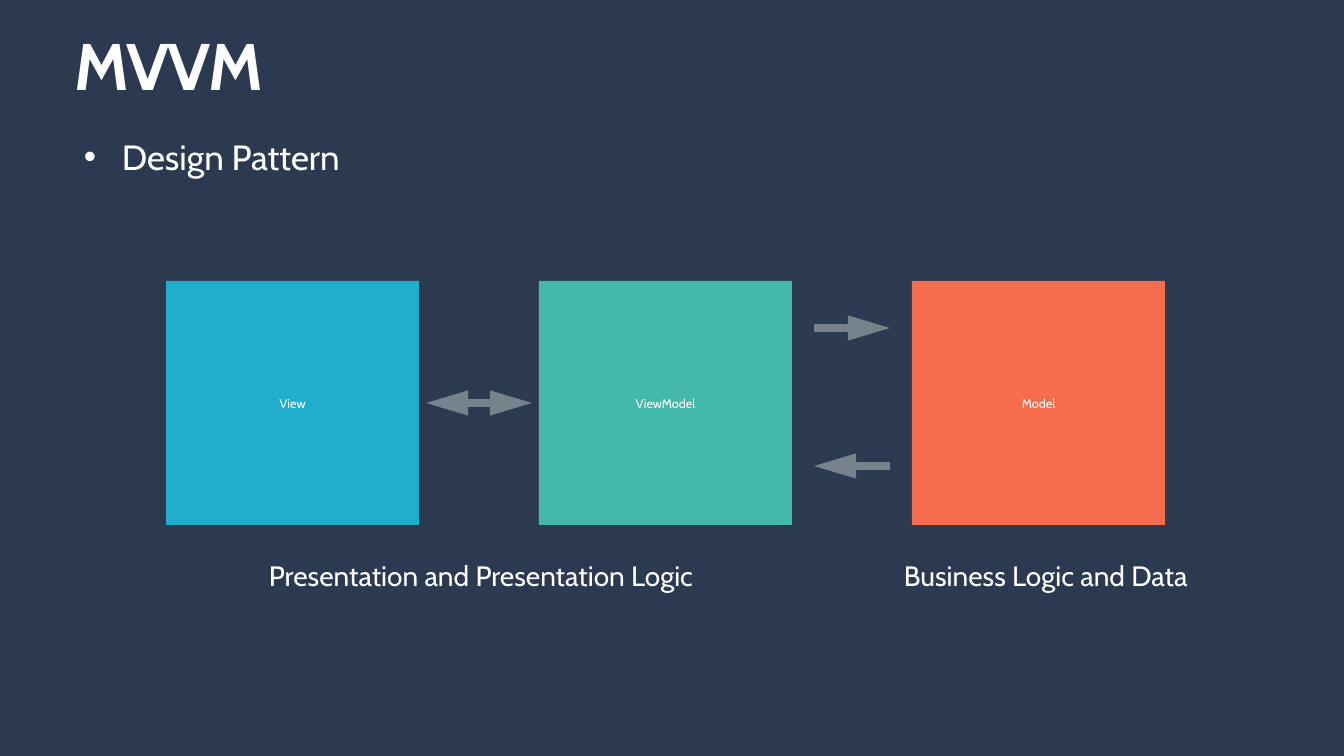
import pptx
import pptx.util
import pptx.dml.color
import pptx.enum.shapes
import pptx.enum.text
import pptx.oxml
import pptx.oxml.ns
import lxml.etree

RGB = pptx.dml.color.RGBColor
NAVY = RGB(0x2B, 0x39, 0x51)
WHITE = RGB(0xFF, 0xFF, 0xFF)
BLUE = RGB(0x1F, 0xAE, 0xCE)
GREEN = RGB(0x44, 0xB8, 0xAA)
ORANGE = RGB(0xF6, 0x6D, 0x4E)
GREY = RGB(0x76, 0x82, 0x8C)

FONT = "Cabin"
SLIDE_W, SLIDE_H = 1344, 756
EMU_PER_PX = 12192000 / SLIDE_W
ANCHOR = pptx.enum.text.MSO_ANCHOR
ALIGN = pptx.enum.text.PP_ALIGN


def px(n):
    return pptx.util.Emu(round(n * EMU_PER_PX))


def add_child(parent, tag, **attrs):
    return lxml.etree.SubElement(parent, pptx.oxml.ns.qn(tag), **attrs)


def add_run(p, text, size, bold=False):
    r = p.add_run()
    r.text = text
    r.font.name = FONT
    r.font.size = pptx.util.Pt(size)
    r.font.bold = bold
    r.font.color.rgb = WHITE
    return r


def title(s, text, x, y, w, h):
    sp = s.shapes.title
    sp.left, sp.top, sp.width, sp.height = px(x), px(y), px(w), px(h)
    tf = sp.text_frame
    tf.margin_left = tf.margin_right = tf.margin_top = tf.margin_bottom = 0
    tf.vertical_anchor = ANCHOR.MIDDLE
    p = tf.paragraphs[0]
    p.alignment = ALIGN.LEFT
    p.line_spacing = 0.9
    r = add_run(p, text, 47, bold=True)
    r.font._element.set("spc", "-100")


def label(s, text, size, x, y, w, h, bullet_indent=0):
    tf = s.shapes.add_textbox(px(x), px(y), px(w), px(h)).text_frame
    tf.word_wrap = False
    tf.auto_size = pptx.enum.text.MSO_AUTO_SIZE.SHAPE_TO_FIT_TEXT
    p = tf.paragraphs[0]
    p.alignment = ALIGN.LEFT
    if bullet_indent:
        pPr = p._p.get_or_add_pPr()
        pPr.set("marL", str(px(bullet_indent)))
        pPr.set("indent", str(-px(bullet_indent)))
        add_child(pPr, "a:buFont", typeface="Arial")
        add_child(pPr, "a:buChar", char="•")
    add_run(p, text, size)


def block(s, text, color, x, y, w, h):
    sp = s.shapes.add_shape(pptx.enum.shapes.MSO_SHAPE.RECTANGLE, px(x), px(y), px(w), px(h))
    sp.shadow.inherit = False
    sp.fill.solid()
    sp.fill.fore_color.rgb = color
    sp.line.fill.background()
    tf = sp.text_frame
    tf.word_wrap = True
    tf.vertical_anchor = ANCHOR.MIDDLE
    p = tf.paragraphs[0]
    p.alignment = ALIGN.CENTER
    add_run(p, text, 9)


def arrow(s, x1, x2, y, both=False):
    c = s.shapes.add_connector(pptx.enum.shapes.MSO_CONNECTOR.STRAIGHT, px(x1), px(y), px(x2), px(y))
    c.line.color.rgb = GREY
    c.line.width = pptx.util.Pt(6)
    ln = c.line._get_or_add_ln()
    for tag in ["a:headEnd", "a:tailEnd"] if both else ["a:tailEnd"]:
        add_child(ln, tag, type="triangle", w="med", len="lg")
    add_child(c._element.spPr, "a:effectLst")


def diagram(s, x, y, w, h):
    block_w = 253
    pitch = (w - block_w) // 2
    for i, (text, color) in enumerate([("View", BLUE), ("ViewModel", GREEN), ("Model", ORANGE)]):
        block(s, text, color, x + i * pitch, y, block_w, h)
    gap = pitch - block_w
    view_right = x + block_w
    model_left = x + 2 * pitch
    viewmodel_right = model_left - gap
    arrow(s, view_right + 7, view_right + gap - 7, y + h // 2, both=True)
    arrow(s, viewmodel_right + 22, model_left - 22, y + 47)
    arrow(s, model_left - 22, viewmodel_right + 22, y + 185)
    label(s, "Presentation and Presentation Logic", 20, x + 93, y + h + 29, 470, 44)
    label(s, "Business Logic and Data", 20, model_left - 18, y + h + 29, 322, 44)


def main():
    prs = pptx.Presentation()
    prs.slide_width, prs.slide_height = px(SLIDE_W), px(SLIDE_H)
    s = prs.slides.add_slide(prs.slide_layouts[5])
    s.background.fill.solid()
    s.background.fill.fore_color.rgb = NAVY
    title(s, "MVVM", 74, 6, 1241, 126)
    label(s, "Design Pattern", 25, 74, 131, 287, 52, bullet_indent=38)
    diagram(s, 166, 281, 999, 244)
    prs.save("out.pptx")


if __name__ == "__main__":
    main()
